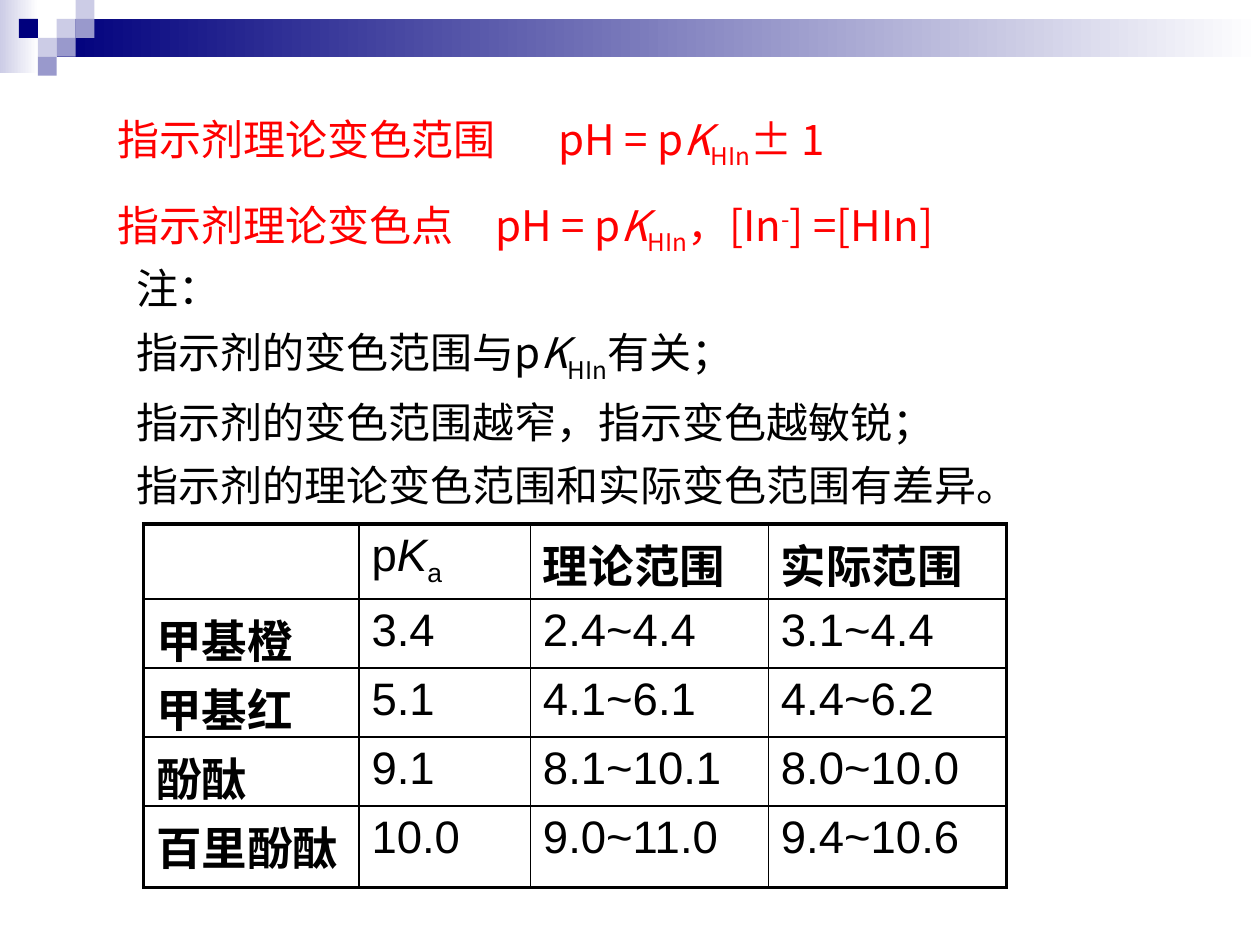
from lxml.etree import SubElement
from pptx import Presentation
from pptx.dml.color import RGBColor
from pptx.enum.shapes import MSO_SHAPE
from pptx.enum.text import MSO_ANCHOR, MSO_AUTO_SIZE, PP_ALIGN
from pptx.oxml.ns import qn
from pptx.util import Pt


def rgb(value):
    return RGBColor.from_string(value)


def write_runs(p, runs, size, font, color, bold=False):
    for text, style in runs:
        r = p.add_run()
        r.text = text
        r.font.size = Pt(size)
        r.font.name = font
        r.font.bold = bold
        r.font.italic = style == "italic"
        r.font.color.rgb = rgb(color)
        rPr = r._r.get_or_add_rPr()
        if style in BASELINE:
            rPr.set("baseline", BASELINE[style])
        SubElement(rPr, qn("a:ea")).set("typeface", CJK)


CJK = "Noto Sans CJK SC"
BASELINE = {"sub": "-25000", "super": "30000"}
NAVY, LILAC, VIOLET = "00007D", "CCCCE6", "9999CC"

prs = Presentation()
prs.slide_width, prs.slide_height = Pt(720), Pt(540)
s = prs.slides.add_slide(prs.slide_layouts[1])

for x, y, w, h, color in [(0, 0, 22, 42, LILAC), (32.4, 10.8, 687.6, 21.6, NAVY)]:
    sp = s.shapes.add_shape(MSO_SHAPE.RECTANGLE, Pt(x), Pt(y), Pt(w), Pt(h))
    sp.shadow.inherit = False
    sp.line.fill.background()
    sp.fill.gradient()
    sp.fill.gradient_angle = 0
    for stop, stop_color in zip(sp.fill.gradient_stops, (color, "FFFFFF")):
        stop.color.rgb = rgb(stop_color)

unit = 10.8
squares = [(3, 1, LILAC), (4, 0, LILAC), (4, 1, VIOLET), (2, 2, LILAC),
           (1, 1, NAVY), (3, 2, VIOLET), (2, 3, VIOLET)]
for col, row, color in squares:
    sp = s.shapes.add_shape(MSO_SHAPE.RECTANGLE, Pt(col * unit), Pt(row * unit),
                            Pt(unit), Pt(unit))
    sp.shadow.inherit = False
    sp.line.fill.background()
    sp.fill.solid()
    sp.fill.fore_color.rgb = rgb(color)

pk_hin = [("K", "italic"), ("HIn", "sub")]
formulas = [
    (1.5, [("指示剂理论变色范围\tpH = p", ""), *pk_hin, ("± 1", "")]),
    (1.5, [("指示剂理论变色点\tpH = p", ""), *pk_hin, ("，[In", ""),
           ("-", "super"), ("] =[HIn]", "")]),
]
notes = [
    (1.0, [("注：", "")]),
    (1.25, [("指示剂的变色范围与p", ""), *pk_hin, ("有关；", "")]),
    (1.25, [("指示剂的变色范围越窄，指示变色越敏锐；", "")]),
    (1.25, [("指示剂的理论变色范围和实际变色范围有差异。", "")]),
]
blocks = [
    (s.shapes.title, (60, 44.6, 550, 89.3), formulas, "FF0000"),
    (s.placeholders[1], (70.6, 146.2, 538.6, 144), notes, "000000"),
]
for sp, (x, y, w, h), lines, color in blocks:
    sp.left, sp.top, sp.width, sp.height = Pt(x), Pt(y), Pt(w), Pt(h)
    tf = sp.text_frame
    tf.word_wrap = True
    tf.auto_size = MSO_AUTO_SIZE.SHAPE_TO_FIT_TEXT
    tf.vertical_anchor = MSO_ANCHOR.TOP
    for i, (spacing, runs) in enumerate(lines):
        p = tf.add_paragraph() if i else tf.paragraphs[0]
        pPr = p._p.get_or_add_pPr()
        pPr.set("marL", "0")
        pPr.set("indent", "0")
        SubElement(pPr, qn("a:buNone"))
        if lines is formulas:
            tabs = SubElement(pPr, qn("a:tabLst"))
            SubElement(tabs, qn("a:tab"), pos=str(Pt(242)), algn="l")
        p.alignment = PP_ALIGN.LEFT
        p.line_spacing = spacing
        p.space_before = Pt(0)
        write_runs(p, runs, 24, CJK, color)

rows = [
    ["", "pKa", "理论范围", "实际范围"],
    ["甲基橙", "3.4", "2.4~4.4", "3.1~4.4"],
    ["甲基红", "5.1", "4.1~6.1", "4.4~6.2"],
    ["酚酞", "9.1", "8.1~10.1", "8.0~10.0"],
    ["百里酚酞", "10.0", "9.0~11.0", "9.4~10.6"],
]
widths = [123, 98, 136, 136]
heights = [38, 39.5, 39.5, 39.5, 46.5]
table = s.shapes.add_table(len(rows), len(widths), Pt(82.1), Pt(299.5),
                           Pt(sum(widths)), Pt(sum(heights))).table
table.first_row = False
table.horz_banding = False
for col, width in zip(table.columns, widths):
    col.width = Pt(width)
for row, height in zip(table.rows, heights):
    row.height = Pt(height)

for i, row in enumerate(rows):
    for j, text in enumerate(row):
        cell = table.cell(i, j)
        outer = {"L": j == 0, "R": j == len(widths) - 1,
                 "T": i == 0, "B": i == len(rows) - 1}
        tcPr = cell._tc.get_or_add_tcPr()
        for side, is_outer in outer.items():
            ln = SubElement(tcPr, qn(f"a:ln{side}"), w=str(Pt(2.25 if is_outer else 1)))
            fill = SubElement(ln, qn("a:solidFill"))
            SubElement(fill, qn("a:srgbClr"), val="000000")
        cell.fill.background()
        runs = [(text, "")]
        if text == "pKa":
            runs = [("p", ""), ("K", "italic"), ("a", "sub")]
        bold = text != "pKa" and (i == 0 or j == 0)
        if text:
            write_runs(cell.text_frame.paragraphs[0], runs, 26, "Arial", "000000", bold)

prs.save("out.pptx")
